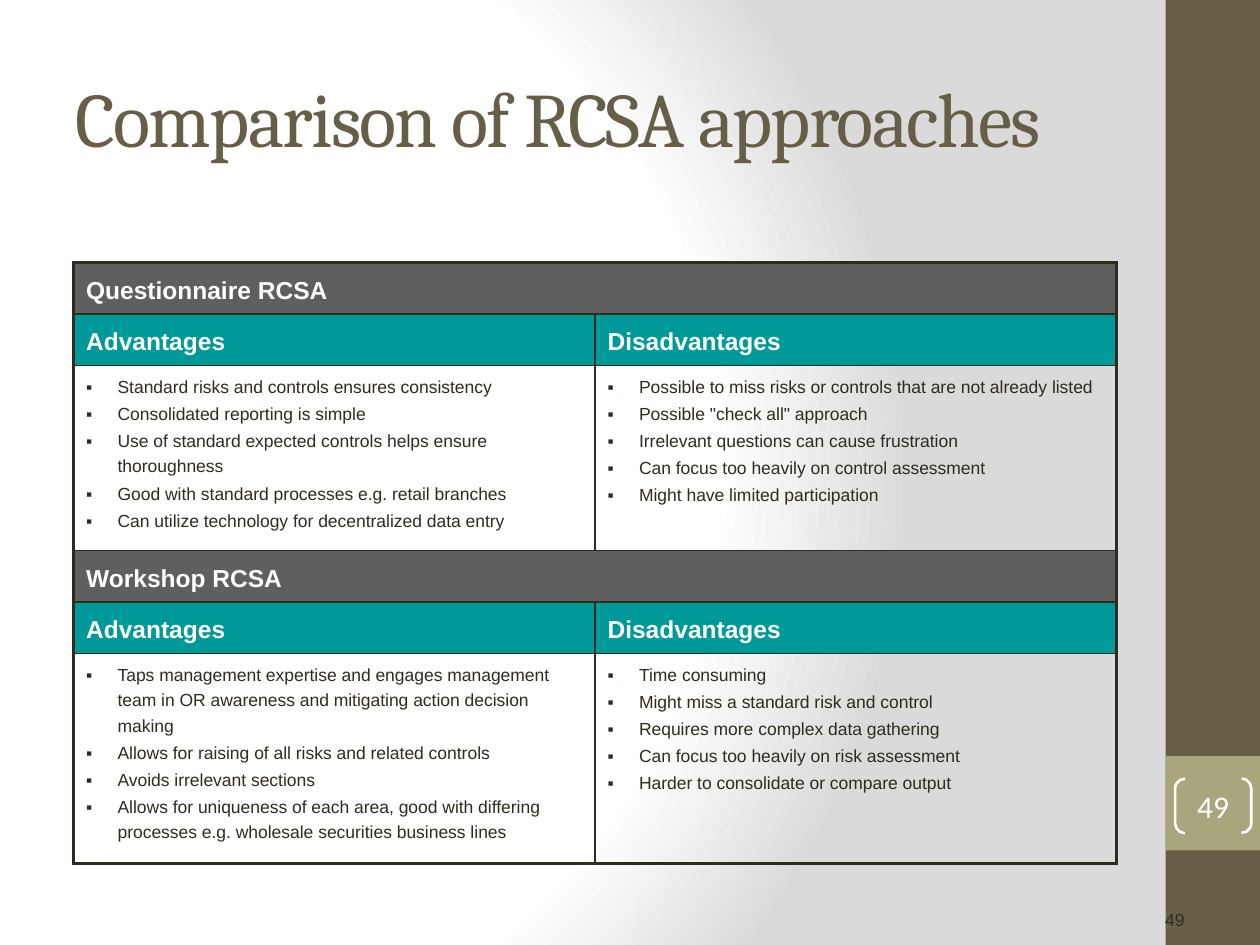
from pptx import Presentation
from pptx.dml.color import RGBColor
from pptx.enum.shapes import MSO_SHAPE
from pptx.enum.text import MSO_ANCHOR, PP_ALIGN
from pptx.oxml import parse_xml
from pptx.oxml.ns import nsdecls
from pptx.util import Pt

DARK = RGBColor(0x2F, 0x2B, 0x20)
BROWN = RGBColor(0x67, 0x5E, 0x47)
OLIVE = RGBColor(0xA9, 0xA5, 0x7C)
GRAY = RGBColor(0x5F, 0x5F, 0x5F)
TEAL = RGBColor(0x00, 0x99, 0x99)
WHITE = RGBColor(0xFF, 0xFF, 0xFF)
SILVER = RGBColor(0xDA, 0xDA, 0xDA)


def write(frame, lines, size, color, font="Arial", bold=False, align=PP_ALIGN.LEFT,
          anchor=MSO_ANCHOR.TOP, leading=None, bullet=None, tracking=None):
    frame.word_wrap = True
    frame.vertical_anchor = anchor
    for index, line in enumerate(lines):
        para = frame.paragraphs[0] if index == 0 else frame.add_paragraph()
        para.alignment = align
        if leading:
            para.line_spacing = leading
            para.space_before = Pt(size * 0.1)
        if bullet:
            props = para._p.get_or_add_pPr()
            props.set("marL", str(Pt(18)))
            props.set("indent", str(Pt(-18)))
            props.append(parse_xml(f'<a:buFont {nsdecls("a")} typeface="Arial"/>'))
            props.append(parse_xml(f'<a:buChar {nsdecls("a")} char="{bullet}"/>'))
        span = para.add_run()
        span.text = line
        span.font.name = font
        span.font.size = Pt(size)
        span.font.bold = bold
        span.font.color.rgb = color
        if tracking:
            span._r.get_or_add_rPr().set("spc", str(tracking * 100))


def set_borders(cell, **widths):
    props = cell._tc.get_or_add_tcPr()
    for index, side in enumerate("LRTB"):
        props.insert(index, parse_xml(
            f'<a:ln{side} {nsdecls("a")} w="{Pt(widths[side])}"><a:solidFill>'
            f'<a:srgbClr val="{DARK}"/></a:solidFill></a:ln{side}>'))


deck = Presentation()
deck.slide_width, deck.slide_height = Pt(720), Pt(540)
page = deck.slides.add_slide(deck.slide_layouts[6])

# Radial background
stops = "".join(f'<a:gs pos="{place * 1000}"><a:srgbClr val="{color}"/></a:gs>'
                for place, color in [(0, WHITE), (75, WHITE), (100, SILVER)])
page._element.cSld.insert(0, parse_xml(
    f'<p:bg {nsdecls("p", "a")}><p:bgPr><a:gradFill rotWithShape="1"><a:gsLst>{stops}</a:gsLst>'
    '<a:path path="circle"><a:fillToRect l="20000" t="50000" r="100000" b="50000"/></a:path>'
    '</a:gradFill><a:effectLst/></p:bgPr></p:bg>'))

# Side band and page number block
for top, height, color in [(0, 540, BROWN), (432, 54, OLIVE)]:
    band = page.shapes.add_shape(MSO_SHAPE.RECTANGLE, Pt(666), Pt(top), Pt(54), Pt(height))
    band.shadow.inherit = False
    band.fill.solid()
    band.fill.fore_color.rgb = color
    band.line.fill.background()

# Footer number and title
footer = page.shapes.add_textbox(Pt(534), Pt(516), Pt(150), Pt(36))
write(footer.text_frame, ["49"], 10, DARK, align=PP_ALIGN.RIGHT)
title = page.shapes.add_textbox(Pt(36), Pt(21.6), Pt(600), Pt(90))
write(title.text_frame, ["Comparison of RCSA approaches"], 44, BROWN, font="Cambria",
      anchor=MSO_ANCHOR.MIDDLE, tracking=-1)

# Comparison table: a heading, a label row and a list row per approach
approaches = [
    ("Questionnaire RCSA",
     ["Standard risks and controls ensures consistency",
      "Consolidated reporting is simple",
      "Use of standard expected controls helps ensure thoroughness",
      "Good with standard processes e.g. retail branches",
      "Can utilize technology for decentralized data entry"],
     ["Possible to miss risks or controls that are not already listed",
      'Possible "check all" approach',
      "Irrelevant questions can cause frustration",
      "Can focus too heavily on control assessment",
      "Might have limited participation"]),
    ("Workshop RCSA",
     ["Taps management expertise and engages management team in OR awareness "
      "and mitigating action decision making",
      "Allows for raising of all risks and related controls",
      "Avoids irrelevant sections",
      "Allows for uniqueness of each area, good with differing processes "
      "e.g. wholesale securities business lines"],
     ["Time consuming",
      "Might miss a standard risk and control",
      "Requires more complex data gathering",
      "Can focus too heavily on risk assessment",
      "Harder to consolidate or compare output"]),
]
row_heights = [29.4, 29.4, 105.8, 29.4, 29.4, 120]
table = page.shapes.add_table(6, 2, Pt(42), Pt(150), Pt(596), Pt(sum(row_heights))).table
table.first_row = table.horz_banding = False
for row, height in zip(table.rows, row_heights):
    row.height = Pt(height)

for number, (heading, advantages, disadvantages) in enumerate(approaches):
    first = number * 3
    banner = table.cell(first, 0)
    banner.merge(table.cell(first, 1))
    write(banner.text_frame, [heading], 14, WHITE, bold=True, leading=1.3)
    columns = [("Advantages", advantages), ("Disadvantages", disadvantages)]
    for column, (label, points) in enumerate(columns):
        write(table.cell(first + 1, column).text_frame, [label], 14, WHITE,
              bold=True, leading=1.3)
        write(table.cell(first + 2, column).text_frame, points, 10, DARK,
              leading=1.3, bullet="▪")

# Cell fills, thick frame and thin inner lines
for row in range(6):
    for column in range(2):
        cell = table.cell(row, column)
        if row % 3 == 2:
            cell.fill.background()
        else:
            cell.fill.solid()
            cell.fill.fore_color.rgb = (GRAY, TEAL)[row % 3]
        set_borders(cell,
                    L=2.25 if column == 0 else 1,
                    R=2.25 if column == 1 or cell.is_merge_origin else 1,
                    T=2.25 if row == 0 else 1,
                    B=2.25 if row == 5 else 1)

# Bracketed page number
bracket = page.shapes.add_shape(MSO_SHAPE.DOUBLE_BRACKET, Pt(671.5), Pt(445), Pt(43.5), Pt(31))
bracket.adjustments[0] = 0.18
bracket.shadow.inherit = False
bracket.fill.background()
bracket.line.color.rgb = WHITE
bracket.line.width = Pt(1.5)
frame = bracket.text_frame
frame.margin_left = frame.margin_right = frame.margin_top = frame.margin_bottom = 0
write(frame, ["49"], 18, WHITE, font="Calibri", align=PP_ALIGN.CENTER, anchor=MSO_ANCHOR.MIDDLE)

deck.save("out.pptx")
